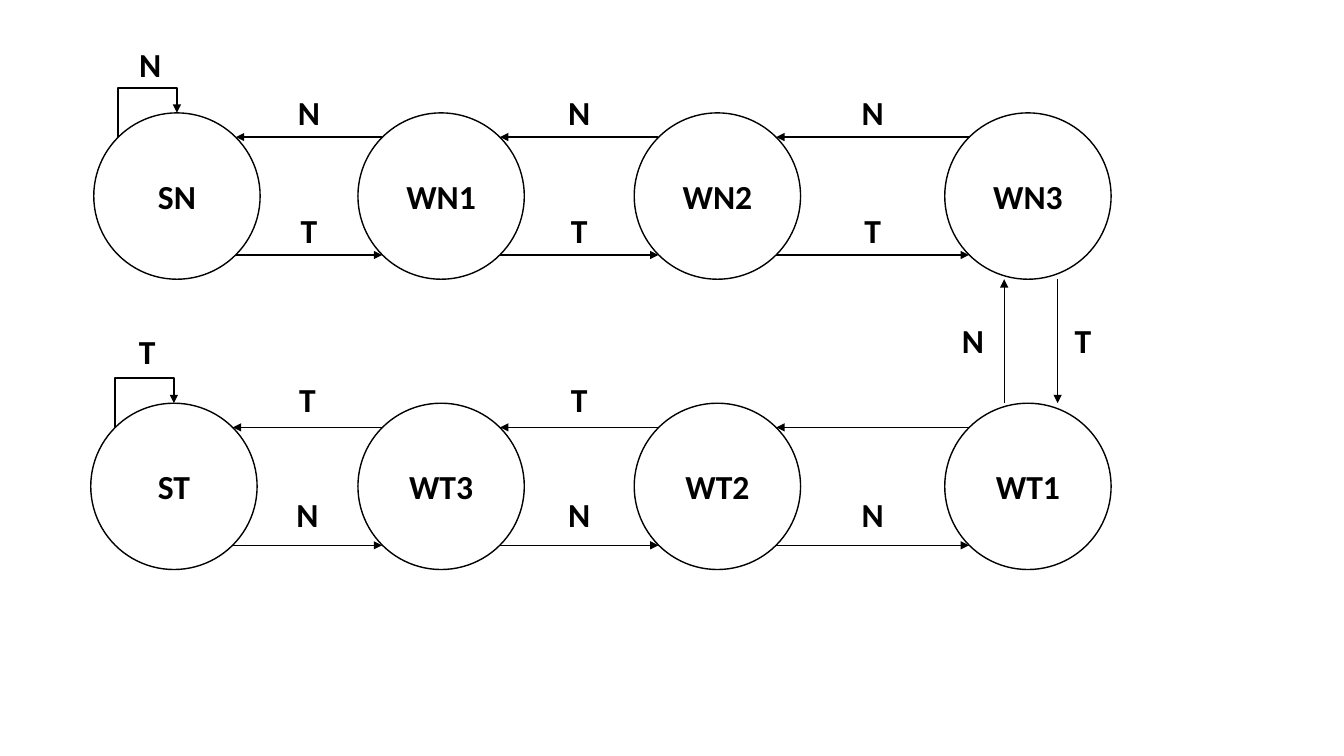
from lxml import etree
from pptx import Presentation
from pptx.dml.color import RGBColor
from pptx.enum.shapes import MSO_CONNECTOR, MSO_SHAPE
from pptx.enum.text import MSO_ANCHOR, PP_ALIGN
from pptx.oxml.ns import qn
from pptx.util import Inches, Pt

OVAL = MSO_SHAPE.OVAL
LINE, ELBOW = MSO_CONNECTOR.STRAIGHT, MSO_CONNECTOR.ELBOW
MIDDLE, CENTER = MSO_ANCHOR.MIDDLE, PP_ALIGN.CENTER
COLORS = {"ink": "000000", "fill": "FFFFFF"}
FONT = "Calibri"
SIZE = 1.65  # diameter of a state
EDGE = 0.24  # from the box of a state to its diagonal points
LABEL = {"T": 0.37, "N": 0.42}  # label widths


def color(name):
    return RGBColor.from_string(COLORS[name])


def write(frame, text):
    frame.text = text
    para = frame.paragraphs[0]
    para.alignment = CENTER
    font = para.font
    font.name, font.size, font.bold = FONT, Pt(24), True
    font.color.rgb = color("ink")


def state(slide, name, left, top):
    shape = slide.shapes.add_shape(
        OVAL, Inches(left), Inches(top), Inches(SIZE), Inches(SIZE))
    shape.shadow.inherit = False
    shape.fill.solid()
    shape.fill.fore_color.rgb = color("fill")
    shape.line.color.rgb = color("ink")
    shape.line.width = Pt(1)
    shape.text_frame.vertical_anchor = MIDDLE
    write(shape.text_frame, name)


def label(slide, text, mid, top):
    wide = LABEL[text]
    box = slide.shapes.add_textbox(
        Inches(mid - wide / 2), Inches(top), Inches(wide), Inches(0.5))
    box.text_frame.word_wrap = False
    write(box.text_frame, text)


def arrow(slide, x1, y1, x2, y2, kind=LINE):
    link = slide.shapes.add_connector(
        kind, Inches(x1), Inches(y1), Inches(x2), Inches(y2))
    link.line.color.rgb = color("ink")
    link.line.width = Pt(1)
    etree.SubElement(link.line._get_or_add_ln(), qn("a:tailEnd"), type="triangle")
    etree.SubElement(link._element.spPr, qn("a:effectLst"))
    return link


def loop(slide, left, top):
    """Elbow from the upper left of a state, up and over to its top."""
    high, wide = EDGE, SIZE / 2 - EDGE
    x, y = left + EDGE + wide / 2, top + high / 2
    # Laid out on its side, then turned a quarter
    link = arrow(slide, x + high / 2, y + wide / 2, x - high / 2, y - wide / 2, ELBOW)
    link.rotation = 90 if hasattr(link, "rotation") else 0
    props = link._element.spPr
    props.find(qn("a:xfrm")).set("rot", "5400000")
    guides = props.find(qn("a:prstGeom")).find(qn("a:avLst"))
    etree.SubElement(guides, qn("a:gd"), name="adj1", fmla="val 203200")


def chain(slide, top, names, lefts, back, ahead, rises):
    """One row of states, with arrows both ways between neighbours."""
    for name, left in zip(names, lefts):
        state(slide, name, left, top)

    # Loop on the first state
    over, under, crown = rises
    loop(slide, lefts[0], top)
    label(slide, back[0], lefts[0] + 0.56, top + crown)

    # Links between neighbours
    for i, (prev, left) in enumerate(zip(lefts, lefts[1:])):
        start, end = prev + SIZE - EDGE, left + EDGE
        mid = (start + end) / 2
        upper, lower = top + EDGE, top + SIZE - EDGE
        arrow(slide, end, upper, start, upper)
        arrow(slide, start, lower, end, lower)
        if back[i + 1]:
            label(slide, back[i + 1], mid, top + over)
        label(slide, ahead, mid, top + under)


def bridge(slide, left, top, bottom):
    """Arrows between the last states of the two rows."""
    up, down = left + 0.59, left + 1.12
    arrow(slide, up, bottom, up, top)
    arrow(slide, down, top, down, bottom)
    label(slide, "N", up - 0.31, top + 0.35)
    label(slide, "T", down + 0.25, top + 0.35)


def main():
    deck = Presentation()
    deck.slide_width, deck.slide_height = Inches(13.33), Inches(7.5)
    slide = deck.slides.add_slide(deck.slide_layouts[6])
    rest = [3.55, 6.29, 9.37]
    first, second = 1.12, 4
    chain(slide, first, ["SN", "WN1", "WN2", "WN3"], [0.93] + rest,
          ["N", "N", "N", "N"], "T", (-0.26, 0.91, -0.73))
    chain(slide, second, ["ST", "WT3", "WT2", "WT1"], [0.9] + rest,
          ["T", "T", "T", None], "N", (-0.29, 0.85, -0.77))
    bridge(slide, rest[-1], first + SIZE, second)
    deck.save("out.pptx")


if __name__ == "__main__":
    main()
